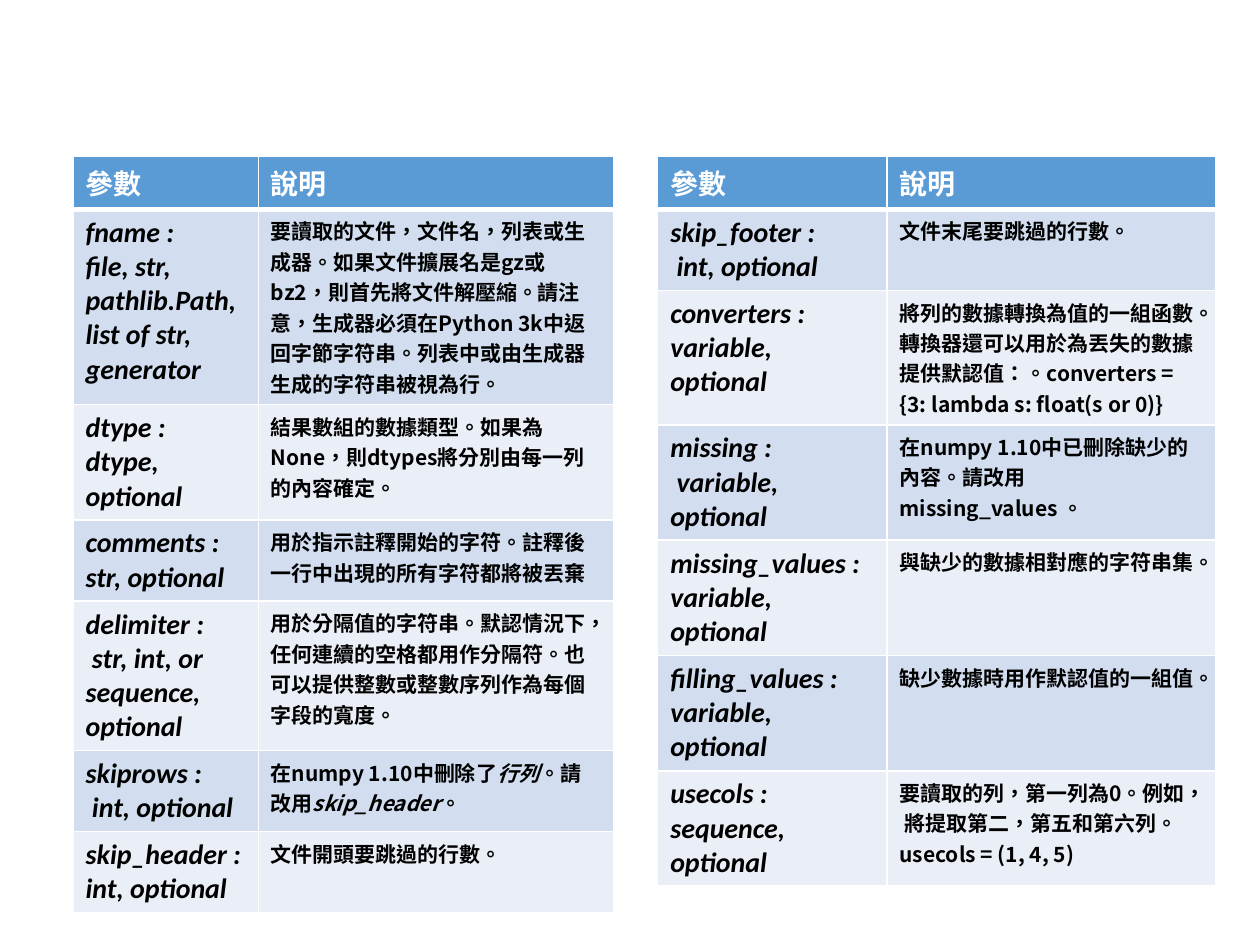
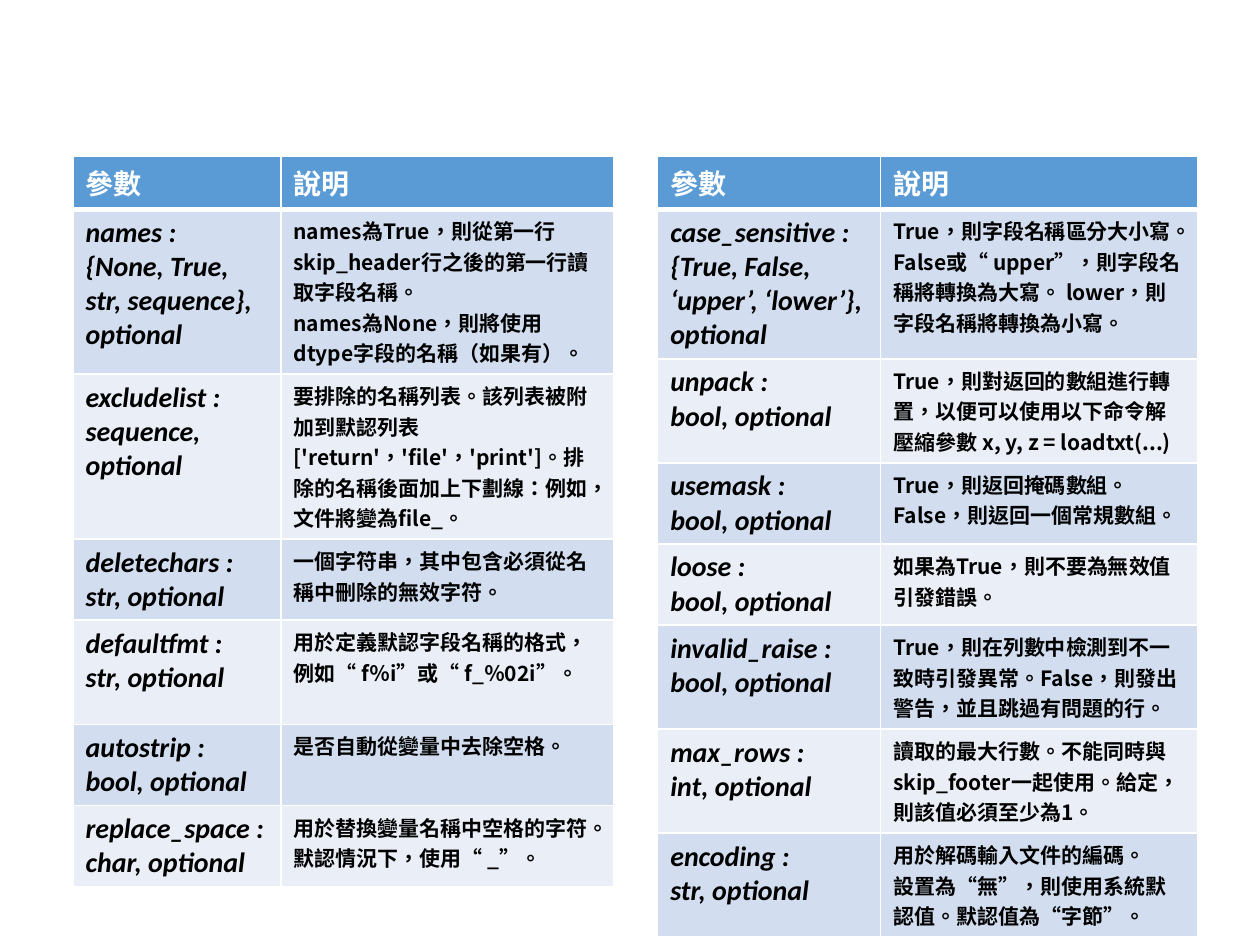
"""Build two slides of parameter tables for a text-loading function."""
from dataclasses import dataclass

from lxml.etree import SubElement
from pptx import Presentation
from pptx.dml.color import RGBColor
from pptx.oxml.ns import qn
from pptx.util import Emu, Pt

EMU_PER_PX = 9144
HEADINGS = ("參數", "說明")


@dataclass(frozen=True)
class Theme:
    """Hold the colours, fonts and sizes that every table shares."""
    header_fill: str = "5B9BD5"
    band_fills: tuple = ("EAEFF7", "D2DEEF")
    border: str = "FFFFFF"
    header_text: str = "FFFFFF"
    body_text: str = "000000"
    label_font: str = "Calibri"
    label_size: int = 16
    description_font: str = "Noto Sans CJK SC"
    description_size: int = 12
    thin_border: int = 1
    thick_border: int = 3


THEME = Theme()
TABLE_TOP = 124
ROW_HEIGHT = 41
LEFT_TABLE = 58
RIGHT_TABLE = 522

FILE_PARAMETERS = (
    ("fname : |file, str, pathlib.Path, list of str, generator",
     "要讀取的文件，文件名，列表或生成器。如果文件擴展名是gz或bz2，則首先將文件解壓縮。"
     "請注意，生成器必須在Python 3k中返回字節字符串。列表中或由生成器生成的字符串被視為行。"),
    ("dtype :|dtype, optional",
     "結果數組的數據類型。如果為None，則dtypes將分別由每一列的內容確定。"),
    ("comments : |str, optional",
     "用於指示註釋開始的字符。註釋後一行中出現的所有字符都將被丟棄"),
    ("delimiter :| str, int, or sequence, optional",
     "用於分隔值的字符串。默認情況下，任何連續的空格都用作分隔符。"
     "也可以提供整數或整數序列作為每個字段的寬度。"),
    ("skiprows :| int, optional",
     "在numpy 1.10中刪除了*行列*。請改用*skip_header*。"),
    ("skip_header : int, optional", "文件開頭要跳過的行數。"),
)

VALUE_PARAMETERS = (
    ("skip_footer :| int, optional", "文件末尾要跳過的行數。"),
    ("converters :|variable, optional",
     "將列的數據轉換為值的一組函數。轉換器還可以用於為丟失的數據提供默認值：。"
     "converters = {3: lambda s: float(s or 0)}"),
    ("missing :| variable, optional",
     "在numpy 1.10中已刪除缺少的內容。請改用missing_values 。"),
    ("missing_values : |variable, optional", "與缺少的數據相對應的字符串集。"),
    ("filling_values : |variable, optional", "缺少數據時用作默認值的一組值。"),
    ("usecols :|sequence, optional",
     "要讀取的列，第一列為0。例如， 將提取第二，第五和第六列。usecols = (1, 4, 5)"),
)

NAME_PARAMETERS = (
    ("names : |{None, True, str, sequence}, optional",
     "names為True，則從第一行skip_header行之後的第一行讀取字段名稱。"
     "|names為None，則將使用dtype字段的名稱（如果有）。"),
    ("excludelist :|sequence, optional",
     "要排除的名稱列表。該列表被附加到默認列表['return'，'file'，'print']。"
     "排除的名稱後面加上下劃線：例如，文件將變為file_。"),
    ("deletechars : |str, optional",
     "一個字符串，其中包含必須從名稱中刪除的無效字符。"),
    ("defaultfmt : |str, optional",
     "用於定義默認字段名稱的格式，例如“ f％i”或“ f_％02i”。"),
    ("autostrip : |bool, optional", "是否自動從變量中去除空格。"),
    ("replace_space :|char, optional",
     "用於替換變量名稱中空格的字符。默認情況下，使用“ _”。"),
)

OUTPUT_PARAMETERS = (
    ("case_sensitive : |{True, False, ‘upper’, ‘lower’}, optional",
     "True，則字段名稱區分大小寫。False或“ upper”，則字段名稱將轉換為大寫。 "
     "lower，則字段名稱將轉換為小寫。"),
    ("unpack : |bool, optional",
     "True，則對返回的數組進行轉置，以便可以使用以下命令解壓縮參數 x, y, z = loadtxt(...)"),
    ("usemask :|bool, optional",
     "True，則返回掩碼數組。False，則返回一個常規數組。"),
    ("loose :|bool, optional", "如果為True，則不要為無效值引發錯誤。"),
    ("invalid_raise :|bool, optional",
     "True，則在列數中檢測到不一致時引發異常。False，則發出警告，並且跳過有問題的行。"),
    ("max_rows : |int, optional",
     "讀取的最大行數。不能同時與skip_footer一起使用。給定，則該值必須至少為1。"),
    ("encoding : |str, optional",
     "用於解碼輸入文件的編碼。|設置為“無”，則使用系統默認值。默認值為“字節”。"),
)


def px(length):
    """Turn px into EMU."""
    return Emu(length * EMU_PER_PX)


def add_run(paragraph, text, font_name, size, color, italic):
    """Add one bold run in the given font to a paragraph."""
    run = paragraph.add_run()
    run.text = text
    font = run.font
    font.name, font.size = font_name, Pt(size)
    font.bold, font.italic = True, italic
    font.color.rgb = RGBColor.from_string(color)
    properties = run._r.get_or_add_rPr()
    properties.set("lang", "zh-TW")
    if font_name == THEME.description_font:
        SubElement(properties, qn("a:ea")).set("typeface", font_name)


def write_text(cell, text, font_name, size, color, italic=False):
    """Write text where | parts paragraphs and * switches the slant."""
    frame = cell.text_frame
    for index, line in enumerate(text.split("|")):
        paragraph = frame.add_paragraph() if index else frame.paragraphs[0]
        for position, part in enumerate(line.split("*")):
            slanted = italic != (position % 2 == 1)
            add_run(paragraph, part, font_name, size, color, slanted)


def style_cell(cell, fill, top, bottom):
    """Give a cell its borders and then its fill."""
    properties = cell._tc.get_or_add_tcPr()
    widths = {"L": THEME.thin_border, "R": THEME.thin_border, "T": top, "B": bottom}
    for side, width in widths.items():
        line = SubElement(properties, qn(f"a:ln{side}"), w=str(Pt(width)))
        solid = SubElement(line, qn("a:solidFill"))
        SubElement(solid, qn("a:srgbClr"), val=THEME.border)
    cell.fill.solid()
    cell.fill.fore_color.rgb = RGBColor.from_string(fill)


def add_parameter_table(slide, left, height, column_widths, parameters):
    """Add a table with a heading row and one row for each parameter."""
    frame = slide.shapes.add_table(
        len(parameters) + 1, len(HEADINGS),
        px(left), px(TABLE_TOP), px(sum(column_widths)), px(height))
    table = frame.table
    for column, width in zip(table.columns, column_widths):
        column.width = px(width)
    for row in table.rows:
        row.height = px(ROW_HEIGHT)
    frame.height = px(height)

    thin, thick = THEME.thin_border, THEME.thick_border
    for column, heading in enumerate(HEADINGS):
        cell = table.cell(0, column)
        style_cell(cell, THEME.header_fill, thin, thick)
        write_text(cell, heading, THEME.label_font, THEME.label_size,
                   THEME.header_text)
    for row, (label, description) in enumerate(parameters, start=1):
        label_cell, description_cell = table.cell(row, 0), table.cell(row, 1)
        for cell in (label_cell, description_cell):
            style_cell(cell, THEME.band_fills[row % 2],
                       thick if row == 1 else thin, thin)
        write_text(label_cell, label, THEME.label_font, THEME.label_size,
                   THEME.body_text, italic=True)
        write_text(description_cell, description, THEME.description_font,
                   THEME.description_size, THEME.body_text)


def main():
    """Build and save the presentation."""
    presentation = Presentation()
    presentation.slide_width, presentation.slide_height = px(1000), px(750)
    slides = (
        ((LEFT_TABLE, 581, (147, 282), FILE_PARAMETERS),
         (RIGHT_TABLE, 554, (182, 261), VALUE_PARAMETERS)),
        ((LEFT_TABLE, 501, (165, 264), NAME_PARAMETERS),
         (RIGHT_TABLE, 564, (177, 252), OUTPUT_PARAMETERS)),
    )
    for tables in slides:
        slide = presentation.slides.add_slide(presentation.slide_layouts[6])
        for table in tables:
            add_parameter_table(slide, *table)
    presentation.save("out.pptx")


if __name__ == "__main__":
    main()
